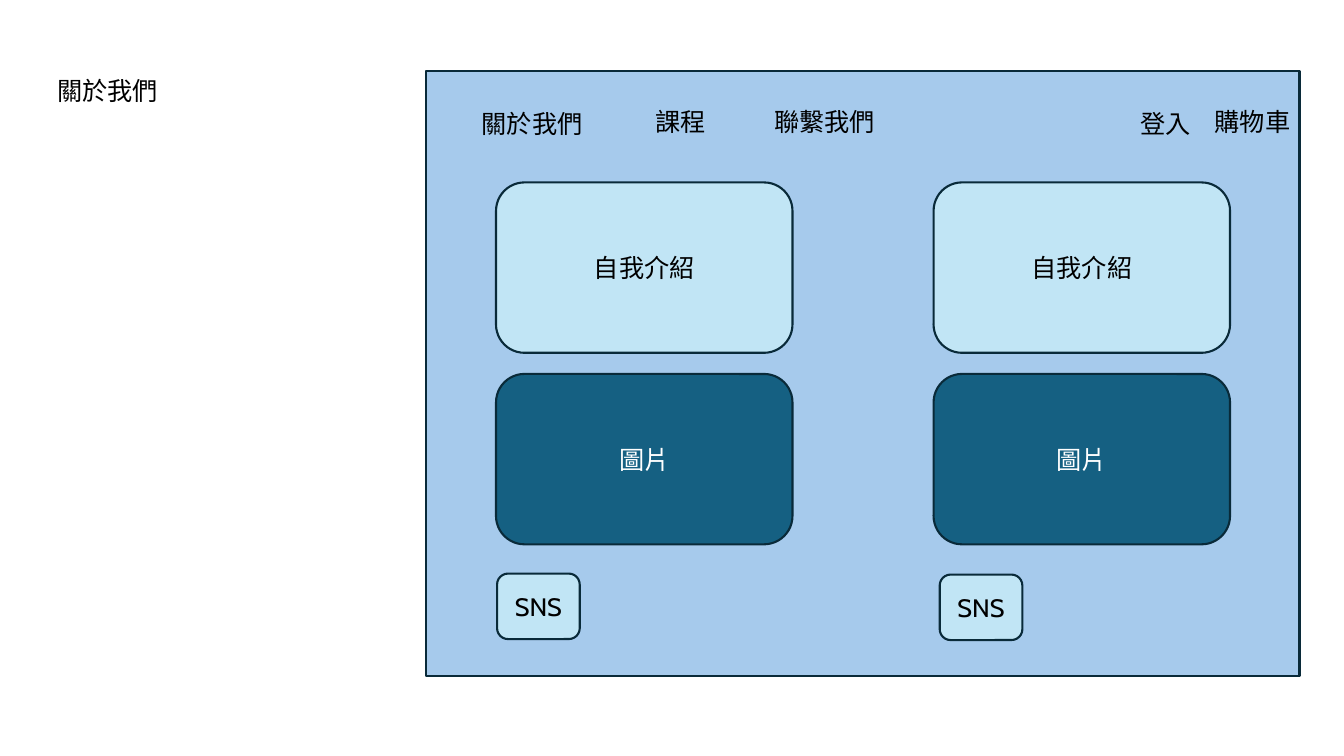
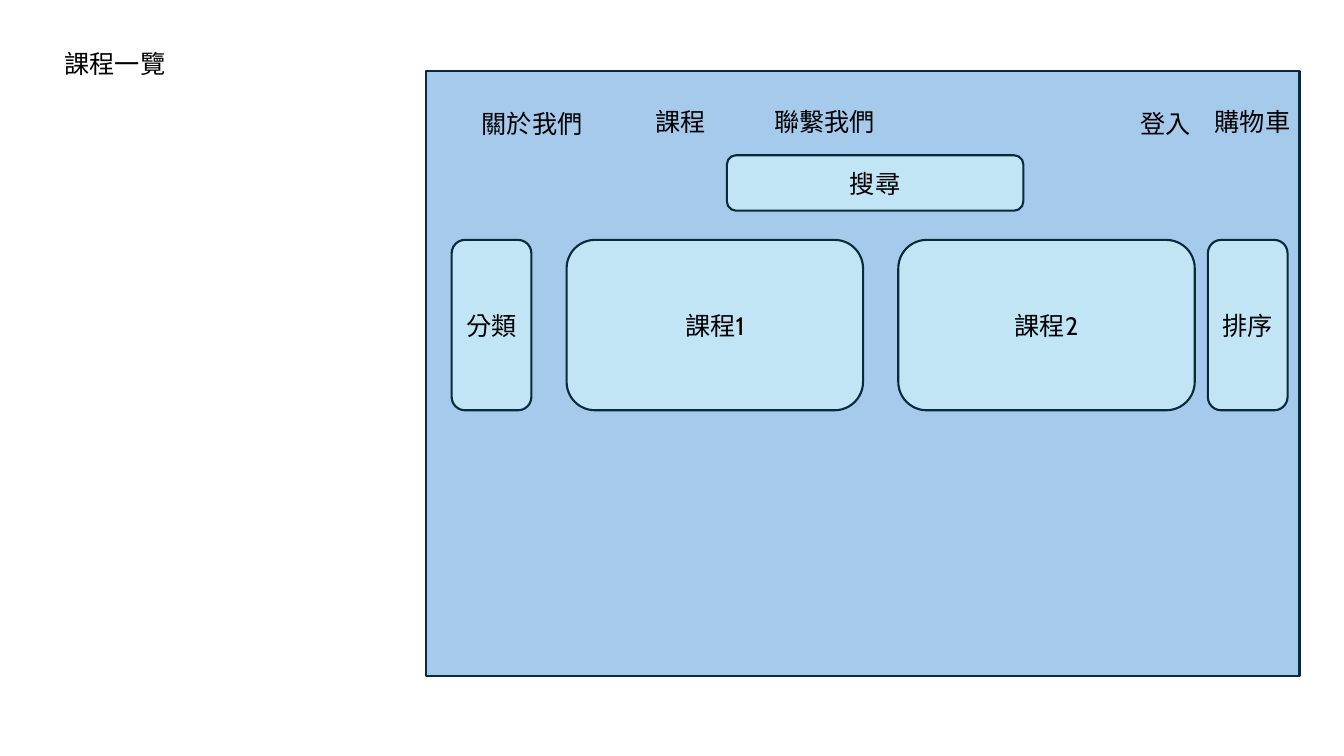
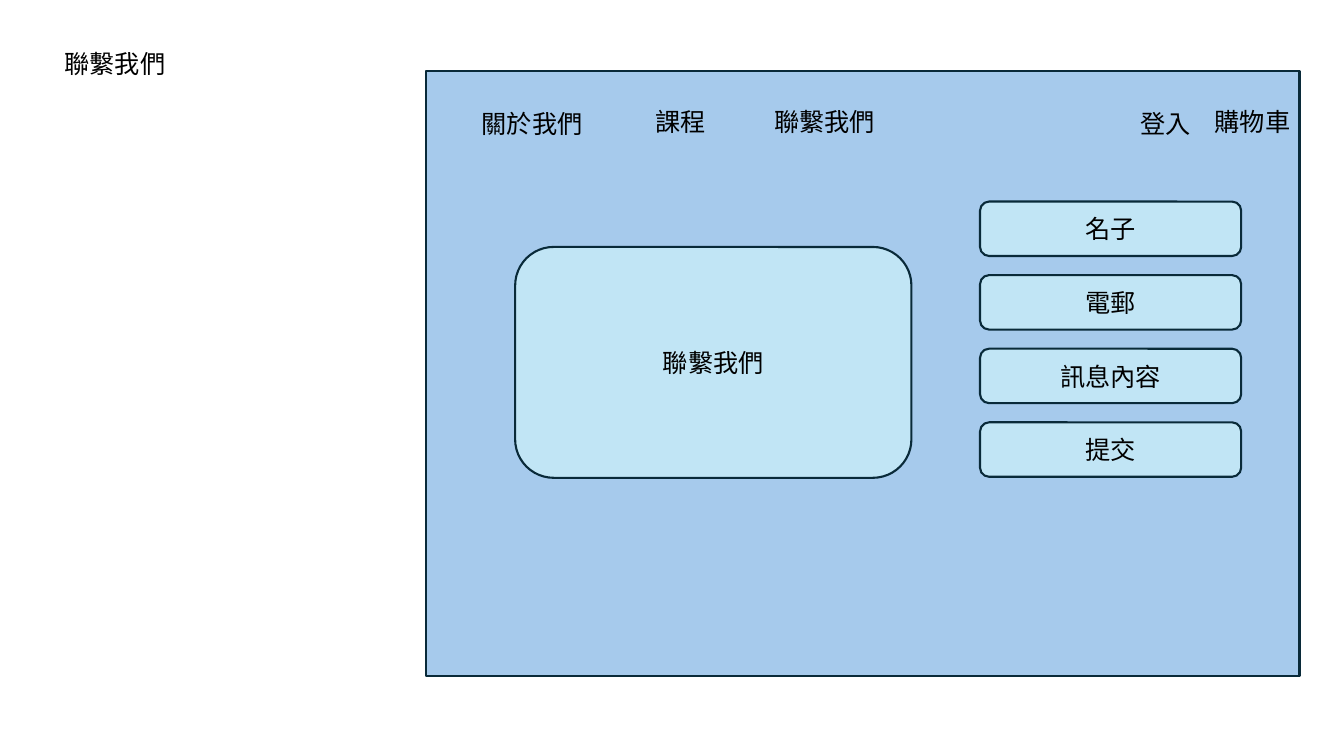
from pptx import Presentation
from pptx.dml.color import RGBColor
from pptx.enum.lang import MSO_LANGUAGE_ID
from pptx.enum.shapes import MSO_SHAPE
from pptx.enum.text import MSO_ANCHOR, PP_ALIGN
from pptx.oxml.ns import qn
from pptx.util import Inches, Pt

RECTANGLE = MSO_SHAPE.RECTANGLE
ROUNDED = MSO_SHAPE.ROUNDED_RECTANGLE
LEFT, CENTER = PP_ALIGN.LEFT, PP_ALIGN.CENTER
TOP, MIDDLE = MSO_ANCHOR.TOP, MSO_ANCHOR.MIDDLE
CHINESE = MSO_LANGUAGE_ID.TRADITIONAL_CHINESE

FONT = "Cabin"
BLACK, WHITE = "000000", "FFFFFF"
PAGE, PANEL, PICTURE, OUTLINE = "A6CAEC", "C1E5F5", "156082", "092A39"

PAGE_BOX = (4.23, 0.7, 8.66, 6.01)
TEXT_HEIGHT = 0.4
CARD_WIDTH, CARD_HEIGHT = 2.94, 1.69

NAVIGATION = [
    ("關於我們", 4.68, 1.03, 1.27),
    ("課程", 6.4, 1.01, 1.45),
    ("聯繫我們", 7.58, 1.01, 1.45),
    ("登入", 11.21, 1.03, 1.27),
    ("購物車", 11.95, 1.01, 1.27),
]
ABOUT_TITLE = ("關於我們", 0.47, 0.7, 1.21)
COURSES_TITLE = ("課程一覽", 0.54, 0.43, 1.62)
CONTACT_TITLE = ("聯繫我們", 0.54, 0.43, 1.62)

PROFILE_LEFTS = [4.92, 9.26]
PROFILE_CARDS = [("自我介紹", 1.81, PANEL, BLACK), ("圖片", 3.71, PICTURE, WHITE)]
SOCIAL_BUTTONS = [("SNS", 4.93, 5.69), ("SNS", 9.32, 5.7)]

COURSE_TOP = 2.38
COURSE_ROW = [
    ("分類", 4.48, 0.79),
    ("課程1", 5.62, CARD_WIDTH),
    ("課程2", 8.91, CARD_WIDTH),
    ("排序", 11.98, 0.79),
]

FORM_FIELDS = ["名子", "電郵", "訊息內容", "提交"]
FORM_TOP, FORM_PITCH = 2, 0.73


def color(value):
    return RGBColor.from_string(value)


def write(shape, text, font_color=BLACK, alignment=LEFT, anchor=TOP):
    frame = shape.text_frame
    frame.word_wrap = True
    frame.vertical_anchor = anchor
    paragraph = frame.paragraphs[0]
    paragraph.alignment = alignment
    run = paragraph.add_run()
    run.text = text
    run.font.size = Pt(18)
    run.font.name = FONT
    run.font.color.rgb = color(font_color)
    run.font.language_id = CHINESE
    east_asian = run.font._element.makeelement(qn("a:ea"), {"typeface": FONT})
    run.font._element.find(qn("a:latin")).addnext(east_asian)


def add_label(slide, text, left, top, width):
    box = slide.shapes.add_textbox(
        Inches(left), Inches(top), Inches(width), Inches(TEXT_HEIGHT))
    write(box, text)


def add_panel(slide, box, text="", kind=ROUNDED, fill=PANEL, font_color=BLACK):
    shape = slide.shapes.add_shape(kind, *(Inches(length) for length in box))
    shape.shadow.inherit = False
    shape.fill.solid()
    shape.fill.fore_color.rgb = color(fill)
    shape.line.color.rgb = color(OUTLINE)
    shape.line.width = Pt(1.5)
    if text:
        write(shape, text, font_color=font_color, alignment=CENTER, anchor=MIDDLE)


def add_page(presentation, title):
    slide = presentation.slides.add_slide(presentation.slide_layouts[6])
    add_label(slide, *title)
    add_panel(slide, PAGE_BOX, kind=RECTANGLE, fill=PAGE)
    for item in NAVIGATION:
        add_label(slide, *item)
    return slide


def build_about(presentation):
    slide = add_page(presentation, ABOUT_TITLE)
    for left in PROFILE_LEFTS:
        for text, top, fill, font_color in PROFILE_CARDS:
            add_panel(slide, (left, top, CARD_WIDTH, CARD_HEIGHT), text,
                      fill=fill, font_color=font_color)
    for text, left, top in SOCIAL_BUTTONS:
        add_panel(slide, (left, top, 0.82, 0.65), text)


def build_courses(presentation):
    slide = add_page(presentation, COURSES_TITLE)
    add_panel(slide, (7.21, 1.54, CARD_WIDTH, 0.55), "搜尋")
    for text, left, width in COURSE_ROW:
        add_panel(slide, (left, COURSE_TOP, width, CARD_HEIGHT), text)


def build_contact(presentation):
    slide = add_page(presentation, CONTACT_TITLE)
    add_panel(slide, (5.11, 2.45, 3.93, 2.29), "聯繫我們")
    for index, text in enumerate(FORM_FIELDS):
        add_panel(slide, (9.72, FORM_TOP + index * FORM_PITCH, 2.59, 0.54), text)


def main():
    presentation = Presentation()
    presentation.slide_width = Inches(13.33)
    presentation.slide_height = Inches(7.5)
    build_about(presentation)
    build_courses(presentation)
    build_contact(presentation)
    presentation.save("out.pptx")


if __name__ == "__main__":
    main()
